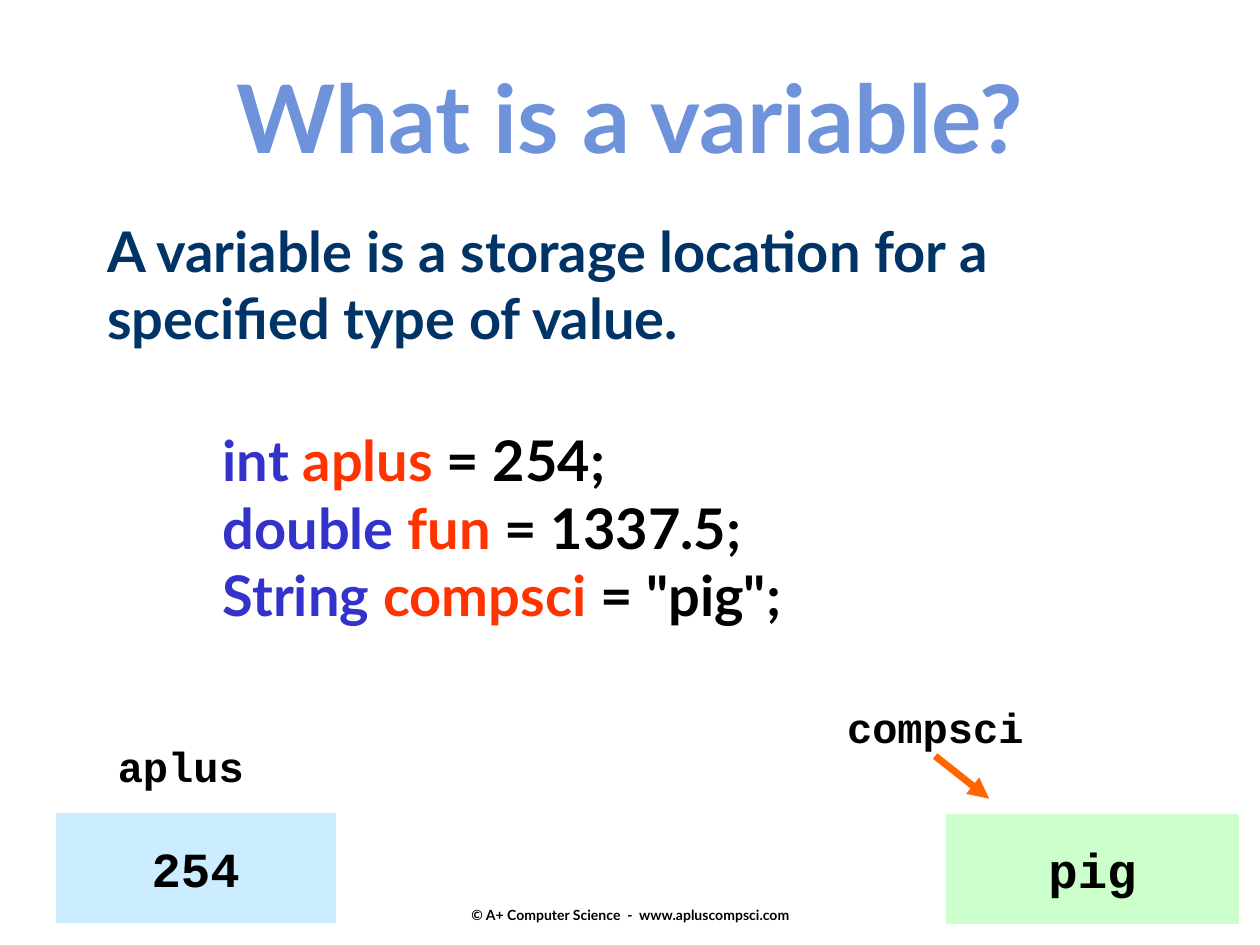
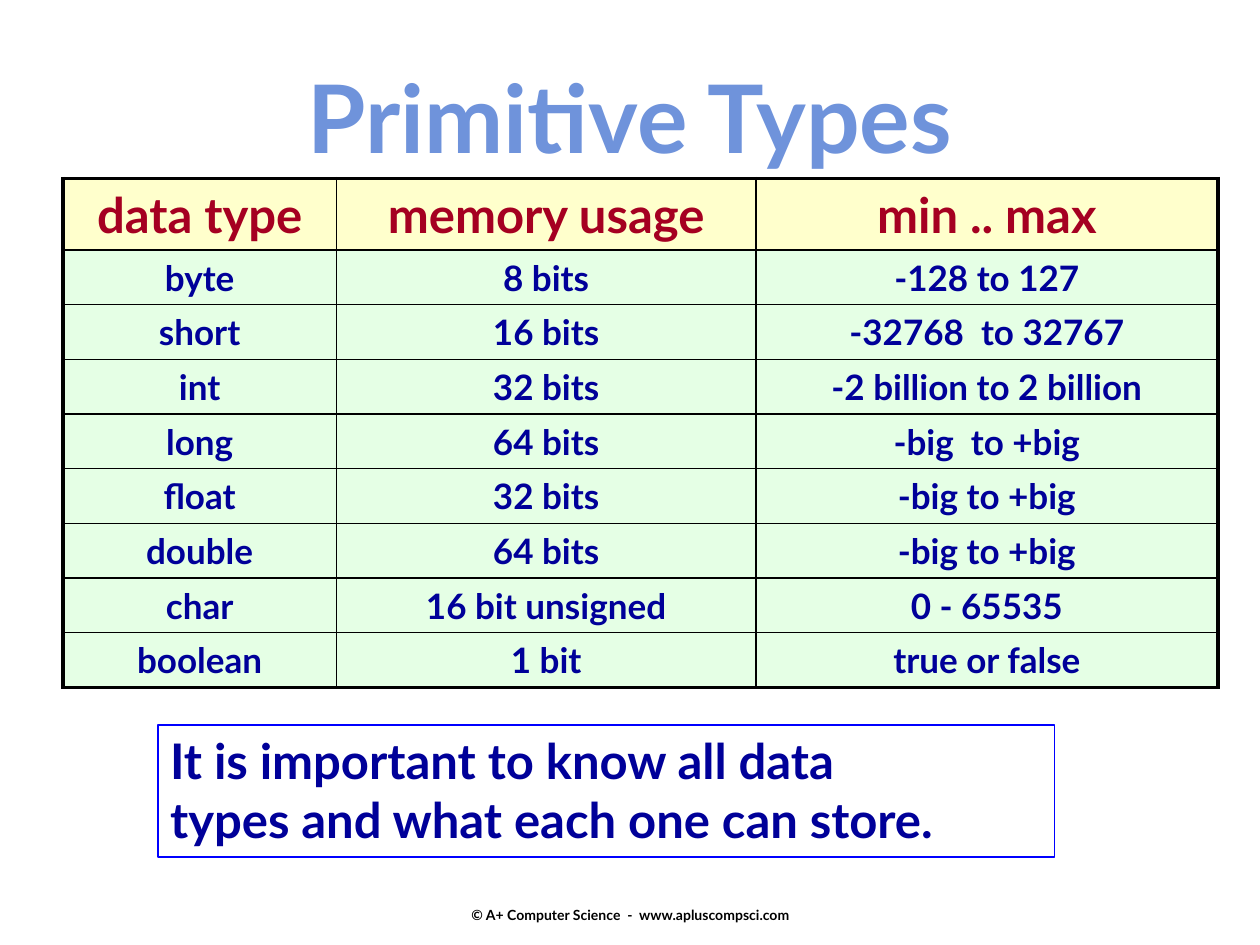
from lxml.etree import SubElement
from pptx import Presentation
from pptx.dml.color import RGBColor
from pptx.enum.shapes import MSO_CONNECTOR, MSO_SHAPE
from pptx.enum.text import MSO_ANCHOR, PP_ALIGN
from pptx.oxml.ns import qn
from pptx.util import Cm, Pt

# Content
FOOTER = "© A+ Computer Science  -  www.apluscompsci.com"
VARIABLE_TITLE = "What is a variable?"
DEFINITION = ["A variable is a storage location for a", "specified type of value."]
DECLARATIONS = [
    ("int ", "aplus ", "= 254;"),
    ("double ", "fun ", "= 1337.5;"),
    ("String ", "compsci ", '= "pig";'),
]
# Text, position, colour
NAMES = [("aplus", (2.11, 14.81, 3.07, 1.3)), ("compsci", (16.81, 14.02, 4.09, 1.3))]
VALUES = [
    ("254", (1.14, 16.41, 5.61, 2.18), "sky"),
    ("pig", (19.08, 16.43, 5.89, 2.18), "mint"),
]
TYPES_TITLE = "Primitive Types"
TYPES = [
    ("data type", "memory usage", "min .. max"),
    ("byte", "8 bits", "-128 to 127"),
    ("short", "16 bits", "-32768  to 32767"),
    ("int", "32 bits", "-2 billion to 2 billion"),
    ("long", "64 bits", "-big  to +big"),
    ("float", "32 bits", "-big to +big"),
    ("double", "64 bits", "-big to +big"),
    ("char", "16 bit unsigned", "0 - 65535"),
    ("boolean", "1 bit", "true or false"),
]
ADVICE = ["It is important to know all data", "types and what each one can store."]

# Shared style
COLORS = {
    "title": "6F93DB", "body": "003366", "black": "000000", "keyword": "3333CC",
    "name": "FF3300", "arrow": "FF6600", "sky": "CCECFF", "mint": "CCFFCC",
    "cream": "FFFFCC", "header": "A50021", "navy": "000099", "frame": "0000FF",
}
STYLES = {
    "title": {"name": "Lato", "size": Pt(54), "bold": True},
    "body": {"name": "Lato", "size": Pt(32), "bold": True},
    "advice": {"name": "Lato", "size": Pt(28), "bold": True},
    "cell": {"name": "Lato", "size": Pt(20), "bold": True},
    "footer": {"name": "Lato", "size": Pt(8), "bold": True},
    "label": {"name": "Courier New", "size": Pt(24), "bold": True},
    "value": {"name": "Courier New", "size": Pt(28), "bold": True},
}
COLUMN_WIDTHS = [5.51, 8.46, 9.31]
HEADER_HEIGHT, ROW_HEIGHT = 1.42, 1.1
OUTER_LINE, INNER_LINE = Pt(2.25), Pt(1)


def rgb(name):
    return RGBColor.from_string(COLORS[name])


def write(tf, lines, style, align=PP_ALIGN.CENTER):
    """Each line is a list of (text, colour) runs."""
    for i, line in enumerate(lines):
        p = tf.paragraphs[0] if i == 0 else tf.add_paragraph()
        p.alignment = align
        for text, color in line:
            r = p.add_run()
            r.text = text
            r.font.color.rgb = rgb(color)
            for key, value in STYLES[style].items():
                setattr(r.font, key, value)


def one_color(lines, color):
    return [[(text, color)] for text in lines]


def add_text(s, box, lines, style, align=PP_ALIGN.CENTER):
    sp = s.shapes.add_textbox(*map(Cm, box))
    sp.text_frame.word_wrap = align == PP_ALIGN.LEFT
    write(sp.text_frame, lines, style, align)
    return sp


def add_box(s, box, fill, line):
    sp = s.shapes.add_shape(MSO_SHAPE.RECTANGLE, *map(Cm, box))
    sp.shadow.inherit = False
    if fill:
        sp.fill.solid()
        sp.fill.fore_color.rgb = rgb(fill)
    else:
        sp.fill.background()
    sp.line.color.rgb = rgb(line)
    sp.line.width = Pt(1)
    return sp


def add_slide(prs, title):
    s = prs.slides.add_slide(prs.slide_layouts[6])
    tf = add_text(s, (8.69, 17.35, 8.05, 1.27), one_color([FOOTER], "black"),
                  "footer").text_frame
    tf.vertical_anchor = MSO_ANCHOR.BOTTOM
    tf.margin_bottom = 0
    add_text(s, (0, 1.07, 25.4, 2.57), one_color([title], "title"), "title")
    return s


def add_arrow(s, start, end):
    cx = s.shapes.add_connector(MSO_CONNECTOR.STRAIGHT, *map(Cm, start + end))
    cx.line.color.rgb = rgb("arrow")
    cx.line.width = Pt(4)
    SubElement(cx.line._get_or_add_ln(), qn("a:tailEnd"), type="triangle")
    SubElement(cx._element.spPr, qn("a:effectLst"))


def set_border(cell, side, width):
    ln = SubElement(cell._tc.get_or_add_tcPr(), qn(f"a:ln{side}"), w=str(width))
    fill = SubElement(ln, qn("a:solidFill"))
    SubElement(fill, qn("a:srgbClr"), val=COLORS["black"])


def add_types_table(s):
    heights = [HEADER_HEIGHT] + [ROW_HEIGHT] * (len(TYPES) - 1)
    last_row, last_col = len(heights) - 1, len(COLUMN_WIDTHS) - 1
    table = s.shapes.add_table(
        len(heights), len(COLUMN_WIDTHS), Cm(1.27), Cm(3.6),
        Cm(sum(COLUMN_WIDTHS)), Cm(sum(heights))).table
    table.horz_banding = table.first_row = False
    for column, width in zip(table.columns, COLUMN_WIDTHS):
        column.width = Cm(width)
    for i, (row, height) in enumerate(zip(table.rows, heights)):
        row.height = Cm(height)
        fill, color, style = (("mint", "navy", "cell") if i
                              else ("cream", "header", "advice"))
        for j, cell in enumerate(row.cells):
            write(cell.text_frame, one_color([TYPES[i][j]], color), style)
            outer = {"L": j == 0, "R": j == last_col, "T": i == 0, "B": i == last_row}
            for side, is_outer in outer.items():
                set_border(cell, side, OUTER_LINE if is_outer else INNER_LINE)
            cell.fill.solid()
            cell.fill.fore_color.rgb = rgb(fill)
            if i:  # body rows are half transparent
                clr = cell._tc.tcPr.find(f"{qn('a:solidFill')}/{qn('a:srgbClr')}")
                SubElement(clr, qn("a:alpha"), val="50000")


def variable_slide(prs):
    s = add_slide(prs, VARIABLE_TITLE)
    add_text(s, (1.91, 4.24, 21.59, 2.97), one_color(DEFINITION, "body"), "body",
             PP_ALIGN.LEFT)
    code = [list(zip(parts, ("keyword", "name", "black"))) for parts in DECLARATIONS]
    add_text(s, (4.24, 8.46, 14.2, 4.4), code, "body", PP_ALIGN.LEFT)
    # Memory boxes with their names
    for text, box in NAMES:
        add_text(s, box, one_color([text], "black"), "label")
    for text, box, color in VALUES:
        tf = add_box(s, box, color, color).text_frame
        tf.vertical_anchor = MSO_ANCHOR.MIDDLE
        write(tf, one_color([text], "black"), "value")
    add_arrow(s, (18.85, 15.24), (19.94, 16.1))


def types_slide(prs):
    s = add_slide(prs, TYPES_TITLE)
    add_types_table(s)
    tf = add_box(s, (3.18, 14.61, 18.08, 2.67), None, "frame").text_frame
    tf.word_wrap = True
    tf.vertical_anchor = MSO_ANCHOR.TOP
    write(tf, one_color(ADVICE, "navy"), "advice", PP_ALIGN.LEFT)


def main():
    prs = Presentation()
    prs.slide_width, prs.slide_height = Cm(25.4), Cm(19.05)
    variable_slide(prs)
    types_slide(prs)
    prs.save("out.pptx")


if __name__ == "__main__":
    main()
